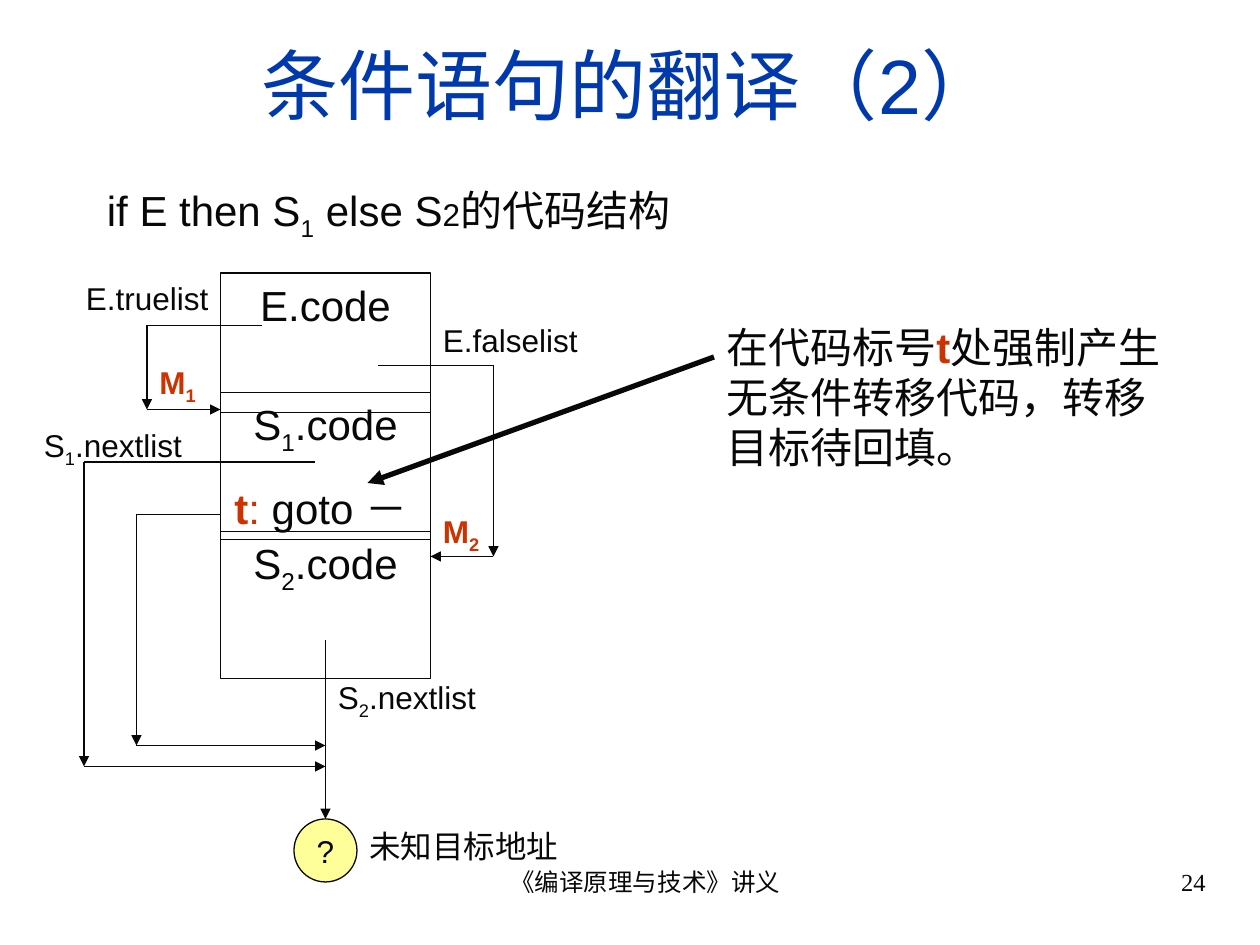
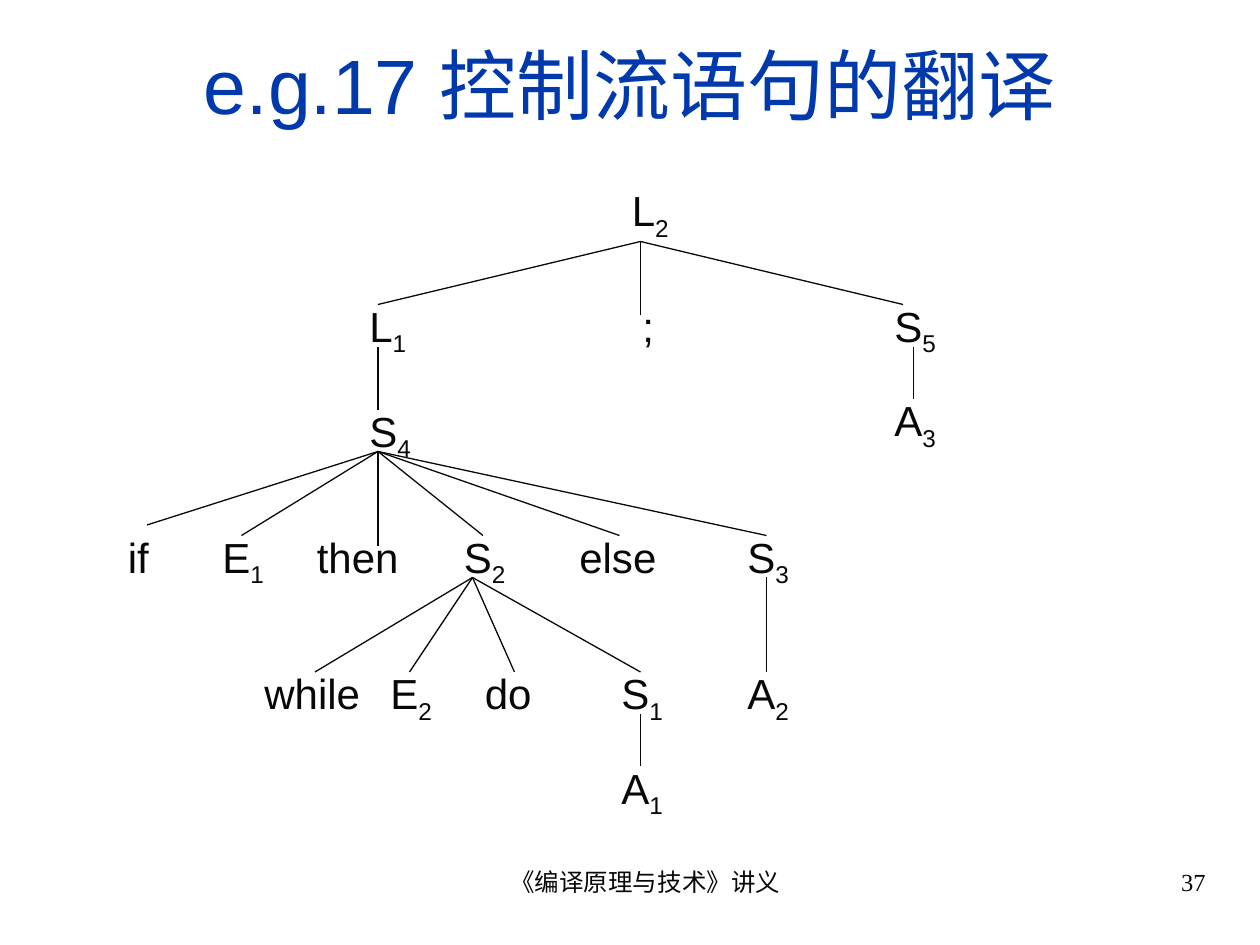
import pptx
import pptx.util
import pptx.dml.color
import pptx.enum.shapes
import pptx.enum.text
import pptx.oxml
import pptx.oxml.ns

PX = 7620  # EMU in one px, 120 px to the inch
INK = {"title": "0039AC", "text": "080808", "red": "CC3300", "pale": "FFFF99"}
SANS, SERIF = "Arial", "Times New Roman"
ALIGN = pptx.enum.text.PP_ALIGN
ANCHOR = pptx.enum.text.MSO_ANCHOR
SHAPE = pptx.enum.shapes.MSO_SHAPE
FOOTER = "《编译原理与技术》讲义"


def emu(*nums):
    return [pptx.util.Emu(n * PX) for n in nums]


def rgb(name):
    return pptx.dml.color.RGBColor.from_string(INK[name])


class Deck:
    def __init__(self):
        self.prs = pptx.Presentation()
        self.prs.slide_width, self.prs.slide_height = emu(1200, 900)
        self.slide = None

    def start(self, title, page):
        """Add a slide with its title, footer and page number."""
        self.slide = self.prs.slides.add_slide(self.prs.slide_layouts[5])
        head = self.slide.shapes.title
        head.left, head.top, head.width, head.height = emu(40, 30, 1120, 100)
        head.text_frame.vertical_anchor = ANCHOR.MIDDLE
        self.fill(head.text_frame, [title], size=44, ink="title", align=ALIGN.CENTER)
        foot = self.text([FOOTER], 410, 820, 380, 62, size=14, font=SERIF,
                         align=ALIGN.CENTER)
        foot.text_frame.margin_left = emu(41)[0]
        self.text([str(page)], 860, 820, 300, 62, size=14, font=SERIF,
                  align=ALIGN.RIGHT)

    def fill(self, frame, *rows, size=24, ink="text", font=SANS, bold=None,
             align=ALIGN.LEFT):
        """Write rows of runs; a first sign marks a run:
        _ subscript, ~ small, ! bold red, ^ red."""
        for i, row in enumerate(rows):
            para = frame.add_paragraph() if i else frame.paragraphs[0]
            para.alignment = align
            if i:
                para.space_before = pptx.util.Pt(15)
            face = para.font
            face.name, face.size, face.bold = font, pptx.util.Pt(size), bold
            face.color.rgb = rgb(ink)
            for part in row:
                mark = part[0] if part[0] in "_~!^" else ""
                run = para.add_run()
                run.text = part[len(mark):]
                if mark == "_":
                    run._r.get_or_add_rPr().set("baseline", "-25000")
                elif mark == "~":
                    run.font.size = pptx.util.Pt(18)
                elif mark:
                    run.font.color.rgb = rgb("red")
                    run.font.bold = mark == "!"

    def text(self, row, x, y, w, h=60, **style):
        box = self.slide.shapes.add_textbox(*emu(x, y, w, h))
        box.text_frame.word_wrap = True
        self.fill(box.text_frame, row, **style)
        return box

    def shape(self, kind, x, y, w, h, *rows, fill=None, anchor=ANCHOR.TOP,
              wrap=True, **style):
        item = self.slide.shapes.add_shape(kind, *emu(x, y, w, h))
        item.shadow.inherit = False
        if fill:
            item.fill.solid()
            item.fill.fore_color.rgb = rgb(fill)
        else:
            item.fill.background()
        item.line.color.rgb = rgb("text")
        item.line.width = pptx.util.Pt(0.75)
        item.text_frame.vertical_anchor = anchor
        item.text_frame.word_wrap = wrap
        self.fill(item.text_frame, *rows, align=ALIGN.CENTER, **style)
        return item

    def line(self, start, end, arrow=False, width=0.75):
        link = self.slide.shapes.add_connector(
            pptx.enum.shapes.MSO_CONNECTOR.STRAIGHT, *emu(*start, *end))
        link.line.color.rgb = rgb("text")
        link.line.width = pptx.util.Pt(width)
        props = link._element.spPr
        if arrow:
            tip = pptx.oxml.ns.qn("a:tailEnd")
            edge = props.find(pptx.oxml.ns.qn("a:ln"))
            edge.append(edge.makeelement(tip, {"type": "triangle"}))
        props.append(props.makeelement(pptx.oxml.ns.qn("a:effectLst"), {}))
        return link

    def route(self, *points):
        """Join points by lines; each leg after the first has an arrow."""
        for i, (start, end) in enumerate(zip(points, points[1:])):
            self.line(start, end, arrow=i > 0)

    def fan(self, top, *ends):
        for end in ends:
            self.line(top, end)


def branch(deck):
    deck.start("条件语句的翻译（2）", 24)
    deck.text(["if E then S", "_1", " else S", "~2", "的代码结构"], 90, 170, 580)

    # Code blocks
    for y, h, rows in [
        (260, 133, [["E.code"]]),
        (374, 140, [["S", "_1", ".code"], ["!t", "^: ", "goto － "]]),
        (506, 140, [["S", "_2", ".code"]]),
    ]:
        deck.shape(SHAPE.RECTANGLE, 210, y, 200, h, *rows)

    # Jumps
    deck.route((250, 310), (140, 310), (140, 390), (210, 390))
    deck.route((360, 348), (470, 348), (470, 530), (410, 530))
    deck.route((210, 490), (130, 490), (130, 710), (310, 710))
    deck.route((300, 440), (80, 440), (80, 730), (310, 730))

    # Unknown target
    goal = deck.shape(SHAPE.OVAL, 280, 780, 60, 60, ["?"], fill="pale",
                      anchor=ANCHOR.MIDDLE, wrap=False, size=18)
    deck.line((310, 610), (310, 780), arrow=True).end_connect(goal, 0)

    # Labels of lists and marks
    for row, x, y, w in [
        (["E.truelist"], 70, 260, 180),
        (["E.falselist"], 410, 300, 180),
        (["S", "_1", ".nextlist"], 30, 400, 170),
        (["S", "_2", ".nextlist"], 310, 640, 170),
        (["未知目标地址"], 340, 782, 300),
    ]:
        deck.text(row, x, y, w, 50, size=18)
    for sub, x, y in [("_1", 140, 340), ("_2", 410, 482)]:
        deck.text(["M", sub], x, y, 80, 50, size=18, ink="red", bold=True)

    # Remark on t
    deck.line((680, 340), (350, 460), arrow=True, width=3)
    deck.text(["在代码标号", "!t", "处强制产生无条件转移代码，转移目标待回填。"],
              680, 300, 440, 156)


def tree(deck):
    deck.start("e.g.17 控制流语句的翻译", 37)

    # Nodes, row by row: top, then (left, runs)
    levels = [
        (170, [(590, "L _2")]),
        (280, [(340, "L _1"), (600, ";"), (840, "S _5")]),
        (370, [(840, "A _3")]),
        (380, [(340, "S _4")]),
        (500, [(110, "if"), (200, "E _1"), (290, "then"), (430, "S _2"),
               (540, "else"), (700, "S _3")]),
        (630, [(240, "while"), (360, "E _2"), (450, "do"), (580, "S _1"),
               (700, "A _2")]),
        (720, [(580, "A _1")]),
    ]
    for y, nodes in levels:
        for x, word in nodes:
            deck.text(word.split(), x, y, 130 if len(word) > 4 else 110)

    # Edges
    deck.fan((610, 230), (360, 290), (610, 300), (860, 290))
    deck.fan((360, 330), (360, 390))
    deck.fan((870, 330), (870, 380))
    deck.fan((360, 430), (140, 500), (230, 510), (360, 520), (460, 510),
             (590, 510), (730, 510))
    deck.fan((450, 550), *[(x, 640) for x in (300, 390, 490, 610)])
    deck.fan((730, 550), (730, 640))
    deck.fan((610, 680), (610, 730))


def main():
    deck = Deck()
    branch(deck)
    tree(deck)
    deck.prs.save("out.pptx")


if __name__ == "__main__":
    main()
